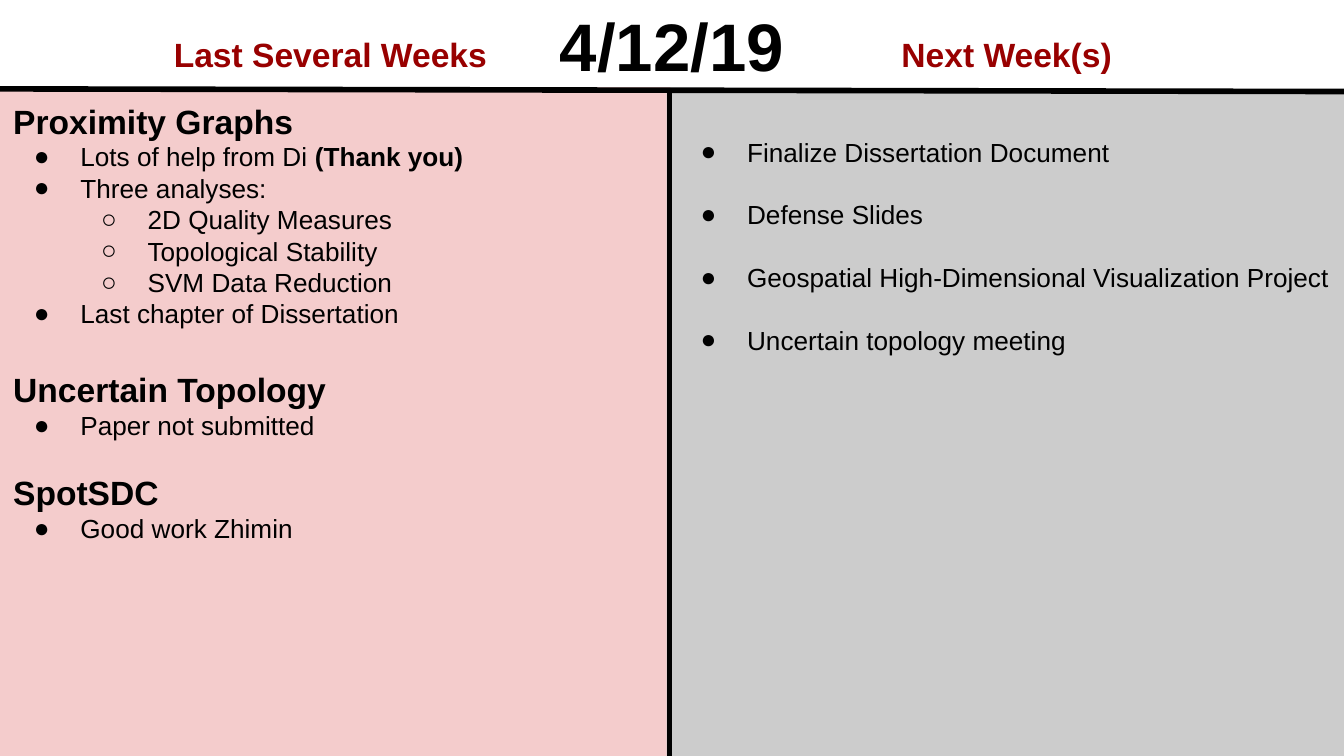
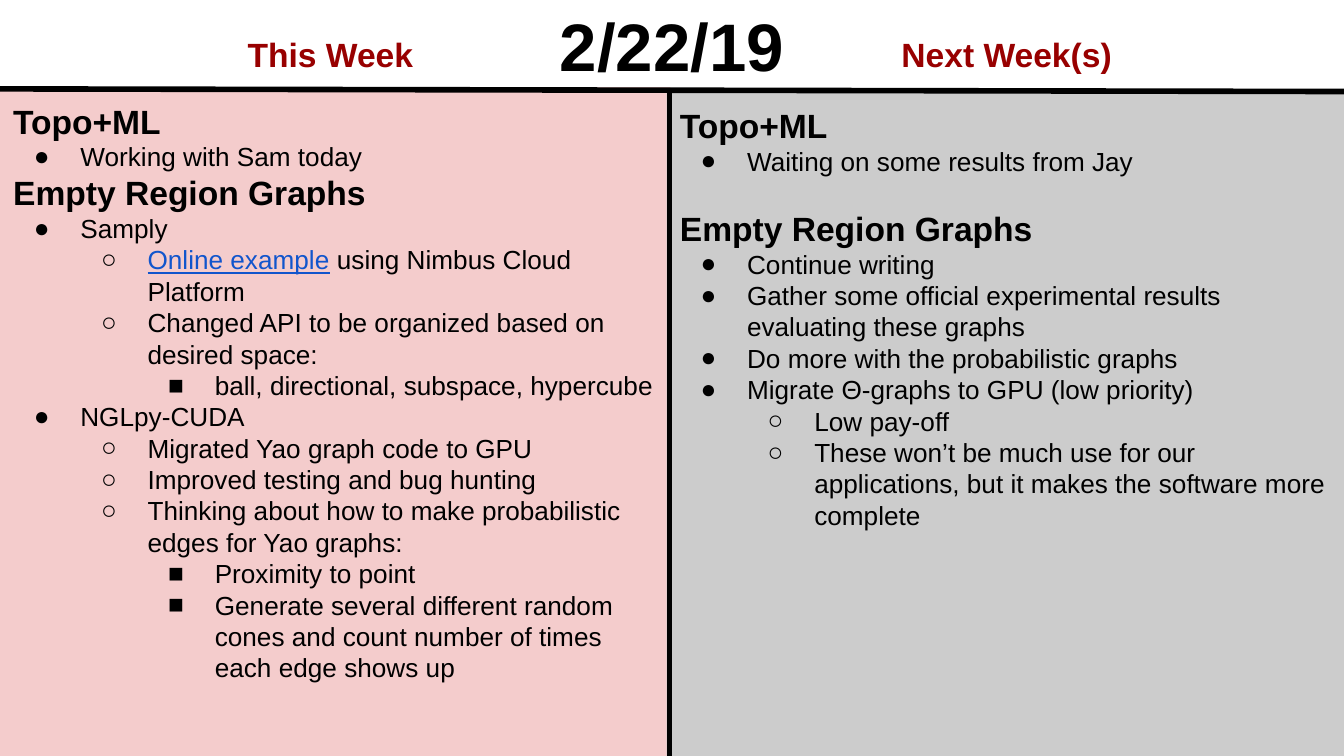
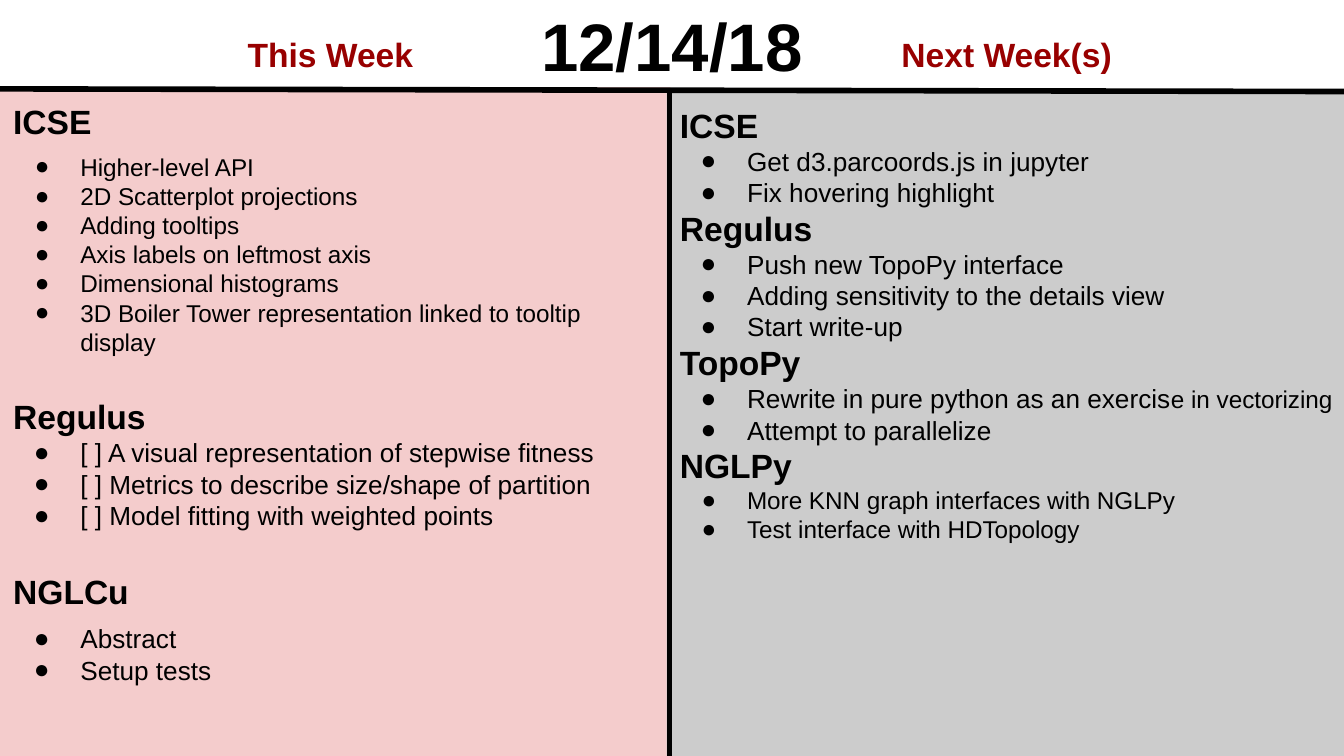
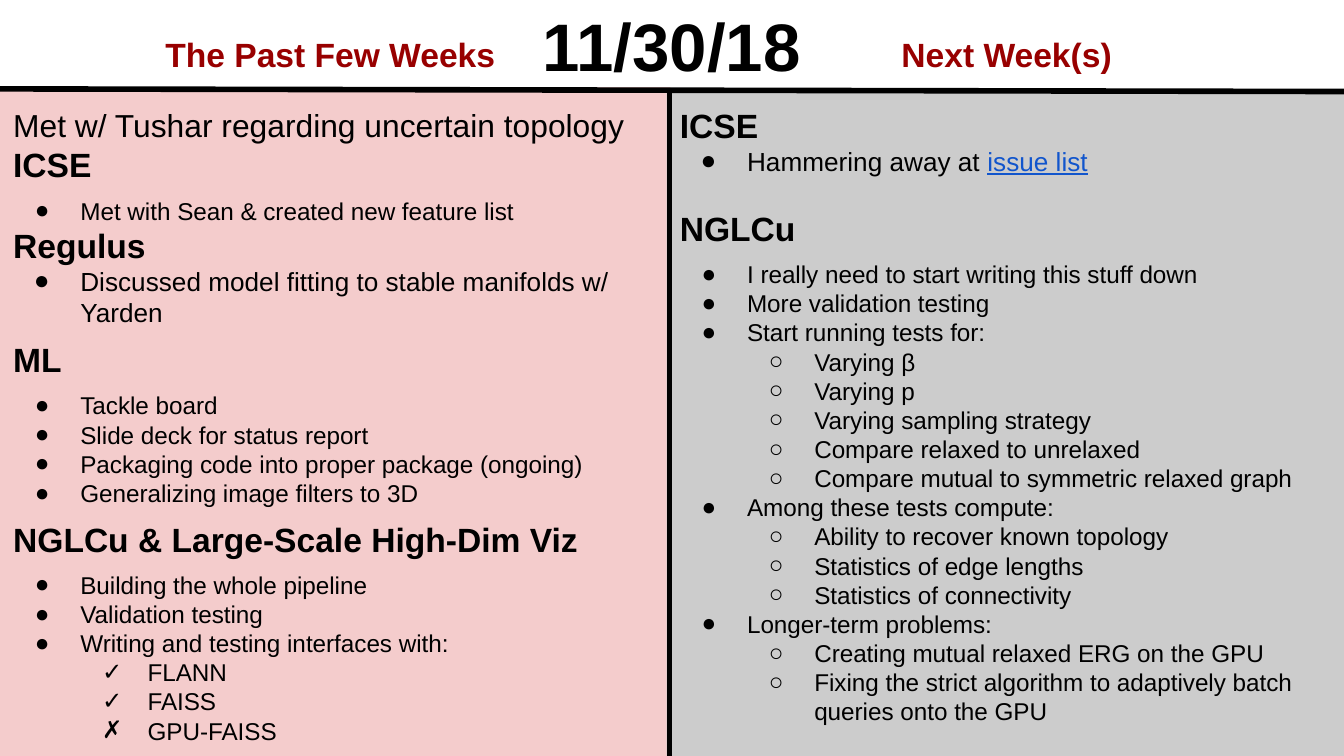
from dataclasses import dataclass

from lxml import etree
from pptx import Presentation
from pptx.dml.color import RGBColor
from pptx.enum.shapes import MSO_CONNECTOR, MSO_SHAPE
from pptx.enum.text import MSO_ANCHOR, PP_ALIGN
from pptx.oxml.ns import qn
from pptx.util import Cm, Pt

RECT = MSO_SHAPE.RECTANGLE
LINE = MSO_CONNECTOR.STRAIGHT
TOP, BOTTOM = MSO_ANCHOR.TOP, MSO_ANCHOR.BOTTOM
LEFT, CENTER = PP_ALIGN.LEFT, PP_ALIGN.CENTER


@dataclass(frozen=True)
class Theme:
    font: str = "Arial"
    ink: str = "000000"
    label: str = "980000"
    link: str = "1155CC"
    pink: str = "F4CCCC"
    gray: str = "CCCCCC"
    date: float = 36
    head: float = 18
    note: float = 17
    body: float = 14
    small: float = 13
    rule: float = 3
    near: float = 6      # small gap above a paragraph
    gap: float = 16.8    # gap of one body line
    wide: float = 21.6   # gap of one heading line
    pad: float = 0.25
    drop: float = 0.84   # top margin of a panel that starts one line lower


T = Theme()
MARKS = "●○■"


@dataclass(frozen=True)
class Box:
    x: float
    y: float
    w: float
    h: float


@dataclass(frozen=True)
class Run:
    text: str
    bold: bool = False
    link: bool = False
    size: float = 0


@dataclass(frozen=True)
class Para:
    runs: tuple[Run, ...]
    size: float
    level: int = -1      # -1 means no bullet
    mark: str = ""
    bold: bool = False
    before: float = 0
    space: float = 0
    color: str = T.ink
    align: PP_ALIGN = LEFT


@dataclass(frozen=True)
class Week:
    date: str
    label: str
    done: list[Para]
    plan: list[Para]
    drop: bool = False


# Shared places, in centimetres
PAGE = Box(0, 0, 25.4, 14.29)
DONE = Box(0, 1.65, 12.67, 12.65)
PLAN = Box(12.6, 1.73, 12.85, 12.65)
DATE = Box(1.27, 0, 22.86, 1.85)
PAST = Box(-0.18, -0.2, 12.85, 1.85)
NEXT = Box(12.6, -0.2, 12.85, 1.85)
RULES = ((12.65, 1.73, 12.65, 14.33), (0, 1.68, 25.43, 1.73))


# Paragraph makers
def head(text: str, before: float = 0) -> Para:
    return Para((Run(text),), T.head, bold=True, before=before)


def item(*parts: str | Run, level: int = 0, size: float = T.body,
         before: float = 0, mark: str = "") -> Para:
    runs = tuple(Run(p) if isinstance(p, str) else p for p in parts)
    return Para(runs, size, level, mark or MARKS[level], before=before)


def items(*texts: str, level: int = 0, size: float = T.body,
          before: float = 0, gap: float = 0, mark: str = "") -> list[Para]:
    """One bullet a text; before opens the list, gap parts its items."""
    return [item(t, level=level, size=size, mark=mark,
                 before=gap if i else before)
            for i, t in enumerate(texts)]


def small(*texts: str, level: int = 0, before: float = 0,
          mark: str = "") -> list[Para]:
    return items(*texts, level=level, size=T.small, before=before, mark=mark)


# Drawing
def rgb(code: str) -> RGBColor:
    return RGBColor.from_string(code)


def place(box: Box) -> tuple[Cm, Cm, Cm, Cm]:
    return Cm(box.x), Cm(box.y), Cm(box.w), Cm(box.h)


def add_mark(par, spec: Para) -> None:
    props = par._p.get_or_add_pPr()
    hang = 0.86 if spec.size == T.small else 0.88
    props.set("marL", str(Cm(1.27 * (spec.level + 1))))
    props.set("indent", str(-Cm(hang)))
    props.set("lvl", str(spec.level))
    tint = etree.SubElement(props, qn("a:buClr"))
    etree.SubElement(tint, qn("a:srgbClr"), val=T.ink)
    etree.SubElement(props, qn("a:buFont"), typeface=T.font)
    etree.SubElement(props, qn("a:buChar"), char=spec.mark)


def add_para(par, spec: Para) -> None:
    par.alignment = spec.align
    if spec.before:
        par.space_before = Pt(spec.before)
    if spec.space:
        par.line_spacing = spec.space
    if spec.level >= 0:
        add_mark(par, spec)
    font = par.font
    font.name, font.size, font.bold = T.font, Pt(spec.size), spec.bold
    font.color.rgb = rgb(spec.color)
    for part in spec.runs:
        run = par.add_run()
        run.text = part.text
        if part.bold:
            run.font.bold = True
        if part.size:
            run.font.size = Pt(part.size)
        if part.link:
            run.font.underline = True
            run.font.color.rgb = rgb(T.link)


def add_text(shape, paras: list[Para], anchor: MSO_ANCHOR,
             top: float = T.pad) -> None:
    frame = shape.text_frame
    frame.word_wrap = True
    frame.vertical_anchor = anchor
    frame.margin_left = frame.margin_right = frame.margin_bottom = Cm(T.pad)
    frame.margin_top = Cm(top)
    for i, spec in enumerate(paras):
        add_para(frame.add_paragraph() if i else frame.paragraphs[0], spec)


def add_panel(slide, box: Box, fill: str, paras: list[Para],
              top: float = T.pad) -> None:
    panel = slide.shapes.add_shape(RECT, *place(box))
    panel.shadow.inherit = False
    panel.fill.solid()
    panel.fill.fore_color.rgb = rgb(fill)
    panel.line.fill.background()
    add_text(panel, paras, TOP, top)


def add_title(slide, box: Box, text: str, size: float, color: str) -> None:
    spec = Para((Run(text),), size, bold=True, color=color, align=CENTER)
    add_text(slide.shapes.add_textbox(*place(box)), [spec], BOTTOM)


def add_rule(slide, ends: tuple[float, ...]) -> None:
    rule = slide.shapes.add_connector(LINE, *(Cm(v) for v in ends))
    rule.line.color.rgb = rgb(T.ink)
    rule.line.width = Pt(T.rule)
    etree.SubElement(rule._element.spPr, qn("a:effectLst"))


def add_week(deck, week: Week) -> None:
    slide = deck.slides.add_slide(deck.slide_layouts[6])
    add_panel(slide, DONE, T.pink, week.done)
    add_panel(slide, PLAN, T.gray, week.plan, T.drop if week.drop else T.pad)
    add_title(slide, DATE, week.date, T.date, T.ink)
    for ends in RULES:
        add_rule(slide, ends)
    add_title(slide, NEXT, "Next Week(s)", T.head, T.label)
    add_title(slide, PAST, week.label, T.head, T.label)


# Content
WEEKS = [
    Week(
        "4/12/19", "Last Several Weeks",
        done=[
            head("Proximity Graphs"),
            item("Lots of help from Di ", Run("(Thank you)", bold=True)),
            item("Three analyses:"),
            *items("2D Quality Measures", "Topological Stability",
                   "SVM Data Reduction", level=1),
            item("Last chapter of Dissertation"),
            head("Uncertain Topology", T.wide),
            item("Paper not submitted"),
            head("SpotSDC", T.gap),
            item("Good work Zhimin"),
        ],
        plan=items("Finalize Dissertation Document", "Defense Slides",
                   "Geospatial High-Dimensional Visualization Project",
                   "Uncertain topology meeting", gap=T.gap),
        drop=True,
    ),
    Week(
        "2/22/19", "This Week",
        done=[
            head("Topo+ML"),
            item("Working with Sam today"),
            head("Empty Region Graphs"),
            item("Samply"),
            item(Run("Online example", link=True),
                 " using Nimbus Cloud Platform", level=1),
            item("Changed API to be organized based on desired space:",
                 level=1),
            item("ball, directional, subspace, hypercube", level=2),
            item("NGLpy-CUDA"),
            *items("Migrated Yao graph code to GPU",
                   "Improved testing and bug hunting",
                   "Thinking about how to make probabilistic edges for "
                   "Yao graphs:", level=1),
            *items("Proximity to point",
                   "Generate several different random cones and count "
                   "number of times each edge shows up", level=2),
        ],
        plan=[
            head("Topo+ML"),
            item("Waiting on some results from Jay"),
            head("Empty Region Graphs", T.gap),
            *items("Continue writing",
                   "Gather some official experimental results evaluating "
                   "these graphs",
                   "Do more with the probabilistic graphs",
                   "Migrate Θ-graphs to GPU (low priority)"),
            *items("Low pay-off",
                   "These won’t be much use for our applications, but it "
                   "makes the software more complete", level=1),
        ],
    ),
    Week(
        "12/14/18", "This Week",
        done=[
            head("ICSE"),
            *small("Higher-level API", "2D Scatterplot projections",
                   "Adding tooltips", "Axis labels on leftmost axis",
                   "Dimensional histograms",
                   "3D Boiler Tower representation linked to tooltip display",
                   before=T.near),
            head("Regulus", T.wide),
            *items("[ ] A visual representation of stepwise fitness",
                   "[ ] Metrics to describe size/shape of partition",
                   "[ ] Model fitting with weighted points"),
            head("NGLCu", T.wide),
            *items("Abstract", "Setup tests", before=T.near),
        ],
        plan=[
            head("ICSE"),
            *items("Get d3.parcoords.js in jupyter",
                   "Fix hovering highlight"),
            head("Regulus"),
            *items("Push new TopoPy interface",
                   "Adding sensitivity to the details view",
                   "Start write-up"),
            head("TopoPy"),
            item("Rewrite in pure python as an exercis",
                 Run("e in vectorizing", size=T.small)),
            item("Attempt to parallelize"),
            head("NGLPy"),
            *small("More KNN graph interfaces with NGLPy",
                   "Test interface with HDTopology"),
        ],
    ),
    Week(
        "11/30/18", "The Past Few Weeks",
        done=[
            Para((Run("Met w/ Tushar regarding uncertain topology"),),
                 T.note, space=1.15),
            head("ICSE"),
            *small("Met with Sean & created new feature list",
                   before=T.near),
            head("Regulus"),
            item("Discussed model fitting to stable manifolds w/ Yarden"),
            head("ML", T.near),
            *small("Tackle board", "Slide deck for status report",
                   "Packaging code into proper package (ongoing)",
                   "Generalizing image filters to 3D", before=T.near),
            head("NGLCu & Large-Scale High-Dim Viz", T.near),
            *small("Building the whole pipeline", "Validation testing",
                   "Writing and testing interfaces with:", before=T.near),
            *small("FLANN", "FAISS", level=1, mark="✓"),
            *small("GPU-FAISS", level=1, mark="✗"),
        ],
        plan=[
            head("ICSE"),
            item("Hammering away at ", Run("issue list", link=True)),
            head("NGLCu", T.gap),
            *small("I really need to start writing this stuff down",
                   "More validation testing", "Start running tests for:",
                   before=T.near),
            *small("Varying β", "Varying p", "Varying sampling strategy",
                   "Compare relaxed to unrelaxed",
                   "Compare mutual to symmetric relaxed graph", level=1),
            *small("Among these tests compute:"),
            *small("Ability to recover known topology",
                   "Statistics of edge lengths",
                   "Statistics of connectivity", level=1),
            *small("Longer-term problems:"),
            *small("Creating mutual relaxed ERG on the GPU",
                   "Fixing the strict algorithm to adaptively batch queries "
                   "onto the GPU", level=1),
        ],
    ),
]


def main() -> None:
    deck = Presentation()
    deck.slide_width, deck.slide_height = Cm(PAGE.w), Cm(PAGE.h)
    for week in WEEKS:
        add_week(deck, week)
    deck.save("out.pptx")


if __name__ == "__main__":
    main()
